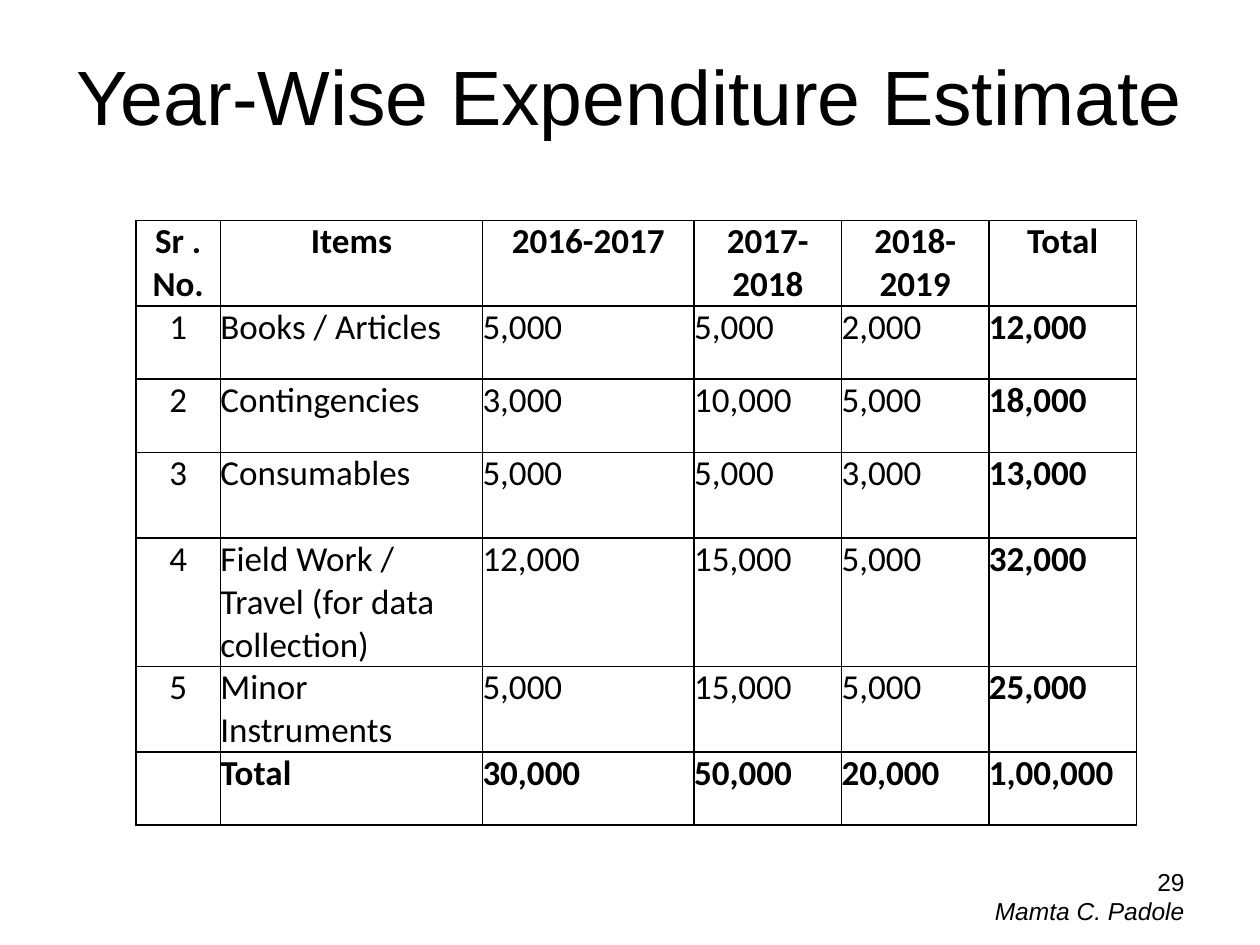
from lxml import etree
from pptx import Presentation
from pptx.dml.color import RGBColor
from pptx.enum.text import MSO_ANCHOR, PP_ALIGN
from pptx.oxml.ns import qn
from pptx.util import Inches, Pt

LEFT, CENTER, RIGHT = PP_ALIGN.LEFT, PP_ALIGN.CENTER, PP_ALIGN.RIGHT
MIDDLE = MSO_ANCHOR.MIDDLE
BLACK = "000000"

COLUMN_WIDTHS = [0.67, 2.08, 1.68, 1.17, 1.17, 1.17]
ROW_HEIGHTS = [0.68, 0.58, 0.58, 0.68, 1.02, 0.68, 0.58]
EXPENDITURE = [
    ["Sr . No.", "Items", "2016-2017", "2017-2018", "2018-2019", "Total"],
    ["1", "Books / Articles", "5,000", "5,000", "2,000", "12,000"],
    ["2", "Contingencies", "3,000", "10,000", "5,000", "18,000"],
    ["3", "Consumables", "5,000", "5,000", "3,000", "13,000"],
    ["4", "Field Work / Travel (for data collection)",
     "12,000", "15,000", "5,000", "32,000"],
    ["5", "Minor Instruments", "5,000", "15,000", "5,000", "25,000"],
    ["", "Total", "30,000", "50,000", "20,000", "1,00,000"],
]


def color(hex_string):
    return RGBColor.from_string(hex_string)


def format_paragraph(paragraph, font_name, size, align, bold=False, italic=False):
    paragraph.alignment = align
    for run in paragraph.runs:
        font = run.font
        font.name, font.size = font_name, Pt(size)
        font.bold, font.italic = bold, italic
        font.color.rgb = color(BLACK)


def add_text_box(slide, left, top, width, height):
    shape = slide.shapes.add_textbox(
        Inches(left), Inches(top), Inches(width), Inches(height))
    shape.text_frame.word_wrap = True
    return shape.text_frame


def add_title(slide, left, top, width, height):
    text_frame = add_text_box(slide, left, top, width, height)
    text_frame.vertical_anchor = MIDDLE
    text_frame.text = "Year-Wise Expenditure Estimate"
    format_paragraph(text_frame.paragraphs[0], "Arial", 44, CENTER)


def set_borders(cell):
    properties = cell._tc.get_or_add_tcPr()
    for position, side in enumerate(("a:lnL", "a:lnR", "a:lnT", "a:lnB")):
        line = etree.Element(qn(side), w=str(Pt(1)))
        fill = etree.SubElement(line, qn("a:solidFill"))
        etree.SubElement(fill, qn("a:srgbClr"), val=BLACK)
        properties.insert(position, line)


def add_expenditure_table(slide, left, top):
    table = slide.shapes.add_table(
        len(ROW_HEIGHTS), len(COLUMN_WIDTHS), Inches(left), Inches(top),
        Inches(sum(COLUMN_WIDTHS)), Inches(sum(ROW_HEIGHTS))).table
    table.first_row = table.horz_banding = False
    for column, width in zip(table.columns, COLUMN_WIDTHS):
        column.width = Inches(width)
    for row, height in zip(table.rows, ROW_HEIGHTS):
        row.height = Inches(height)

    last_row, last_column = len(ROW_HEIGHTS) - 1, len(COLUMN_WIDTHS) - 1
    for row_index, values in enumerate(EXPENDITURE):
        for column_index, value in enumerate(values):
            cell = table.cell(row_index, column_index)
            cell.margin_left = cell.margin_right = 0
            cell.margin_top = cell.margin_bottom = 0
            cell.fill.background()
            set_borders(cell)
            cell.text_frame.text = value
            # Header and serial numbers are centred; header and totals are bold
            align = CENTER if row_index == 0 or column_index == 0 else LEFT
            bold = row_index in (0, last_row) or column_index == last_column
            format_paragraph(
                cell.text_frame.paragraphs[0], "Calibri", 20, align, bold)


def add_footer(slide, left, top, width, height):
    text_frame = add_text_box(slide, left, top, width, height)
    text_frame.text = "29\nMamta C. Padole"
    for paragraph, italic in zip(text_frame.paragraphs, (False, True)):
        format_paragraph(paragraph, "Arial", 14, RIGHT, italic=italic)


presentation = Presentation()
presentation.slide_width = Inches(10)
presentation.slide_height = Inches(7.5)
slide = presentation.slides.add_slide(presentation.slide_layouts[6])

add_title(slide, 0, 0, 10, 1.5)
add_expenditure_table(slide, 1.08, 1.75)
add_footer(slide, 0.33, 6.83, 9.17, 0.52)

presentation.save("out.pptx")
